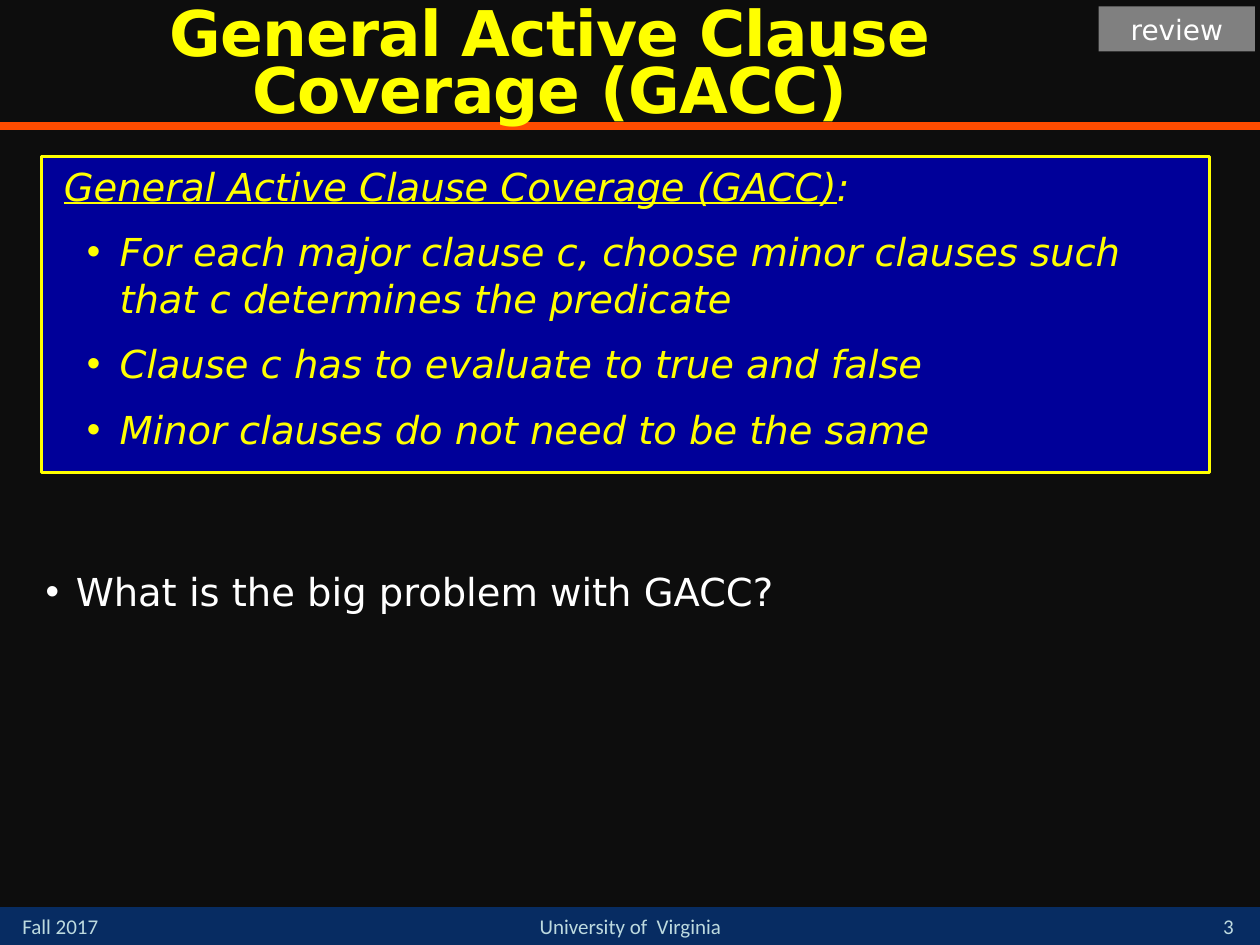
from lxml.etree import SubElement
from pptx import Presentation
from pptx.dml.color import RGBColor
from pptx.enum.shapes import MSO_CONNECTOR, MSO_SHAPE
from pptx.enum.text import MSO_ANCHOR, MSO_AUTO_SIZE, PP_ALIGN
from pptx.oxml.ns import qn
from pptx.util import Cm, Pt

YELLOW, WHITE, PALE = "FFFF00", "FFFFFF", "BDDADF"


def paint(color_format, value):
    """Set a fill or line or font colour from a hex string."""
    color_format.rgb = RGBColor.from_string(value)


def add_text(p, text, color, left=0, hanging=0, **font):
    """Add a run; a hanging indent (cm) also gives the paragraph a bullet."""
    r = p.add_run()
    r.text = text
    for name, value in {"name": "DejaVu Sans", **font}.items():
        setattr(r.font, name, value)
    paint(r.font.color, color)
    pPr = p._p.get_or_add_pPr()
    pPr.set("marL", str(Cm(left)))
    pPr.set("indent", str(-Cm(hanging)))
    if hanging:
        SubElement(pPr, qn("a:buFont")).set("typeface", "Arial")
        SubElement(pPr, qn("a:buChar")).set("char", "•")
    return r


prs = Presentation()
prs.slide_width, prs.slide_height = Cm(25.4), Cm(19.05)
s = prs.slides.add_slide(prs.slide_layouts[5])
s.background.fill.solid()
paint(s.background.fill.fore_color, "0D0D0D")

# Footer band, definition box and review tag
boxes = []
for x, y, w, h, fill, line in [
    (0, 18.29, 25.4, 0.76, "072C62", None),
    (0.84, 3.15, 23.55, 6.38, "000099", YELLOW),
    (22.15, 0.13, 3.15, 0.91, "808080", None),
]:
    sp = s.shapes.add_shape(MSO_SHAPE.RECTANGLE, Cm(x), Cm(y), Cm(w), Cm(h))
    sp.shadow.inherit = False
    sp.fill.solid()
    paint(sp.fill.fore_color, fill)
    if line:
        paint(sp.line.color, line)
        sp.line.width = Pt(1.5)
    else:
        sp.line.fill.background()
    sp.text_frame.word_wrap = True
    sp.text_frame.vertical_anchor = MSO_ANCHOR.TOP
    boxes.append(sp)
band, definition, tag = boxes

rule = s.shapes.add_connector(MSO_CONNECTOR.STRAIGHT, 0, Cm(2.54), Cm(25.4), Cm(2.54))
paint(rule.line.color, "FF4C00")
rule.line.width = Pt(4.5)
SubElement(rule._element.spPr, qn("a:effectLst"))

# Title, brought in front of the rule
title = s.shapes.title
title.left, title.top, title.width, title.height = Cm(0), Cm(0.1), Cm(22.15), Cm(2.54)
tf = title.text_frame
tf.auto_size = MSO_AUTO_SIZE.NONE
tf.vertical_anchor = MSO_ANCHOR.MIDDLE
p = tf.paragraphs[0]
p.alignment, p.line_spacing = PP_ALIGN.CENTER, 0.75
r = add_text(p, "General Active Clause Coverage (GACC)", YELLOW, size=Pt(36), bold=True)
r.font._element.set("spc", "-50")
s.shapes._spTree.append(title._element)

# Definition
tf = definition.text_frame
p = tf.paragraphs[0]
add_text(p, "General Active Clause Coverage (GACC)", YELLOW, 0.2,
         size=Pt(22), italic=True, underline=True)
add_text(p, ":", YELLOW, 0.2, size=Pt(22), italic=True)
for text in [
    "For each major clause c, choose minor clauses such that c determines the predicate",
    "Clause c has to evaluate to true and false",
    "Minor clauses do not need to be the same",
]:
    add_text(tf.add_paragraph(), text, YELLOW, 1.32, 0.66, size=Pt(22), italic=True)
for p in tf.paragraphs:
    p.alignment = PP_ALIGN.LEFT
    p.line_spacing, p.space_before = Pt(26.5), Pt(11)

p = tag.text_frame.paragraphs[0]
p.alignment = PP_ALIGN.CENTER
add_text(p, "review", WHITE, size=Pt(16))

# Question
tf = s.shapes.add_textbox(Cm(0.64), Cm(11.43), Cm(24.13), Cm(6.55)).text_frame
tf.word_wrap = True
p = tf.paragraphs[0]
p.line_spacing, p.space_before, p.space_after = 0.9, Pt(15), Pt(3)
add_text(p, "What is the big problem with GACC?", WHITE, 0.64, 0.61, size=Pt(22))

# Footer texts
for text, x, y, w, h, align, anchor in [
    ("Fall 2017", 0.2, 18.29, 2.97, 0.76, PP_ALIGN.LEFT, MSO_ANCHOR.TOP),
    ("University of  Virginia", 9.32, 18.29, 6.78, 0.76, PP_ALIGN.CENTER, MSO_ANCHOR.TOP),
    ("3", 24.13, 18.21, 1.27, 0.84, PP_ALIGN.CENTER, MSO_ANCHOR.BOTTOM),
]:
    tf = s.shapes.add_textbox(Cm(x), Cm(y), Cm(w), Cm(h)).text_frame
    tf.word_wrap, tf.vertical_anchor = True, anchor
    p = tf.paragraphs[0]
    p.alignment = align
    add_text(p, text, PALE, name="Calibri", size=Pt(12))

prs.save("out.pptx")
